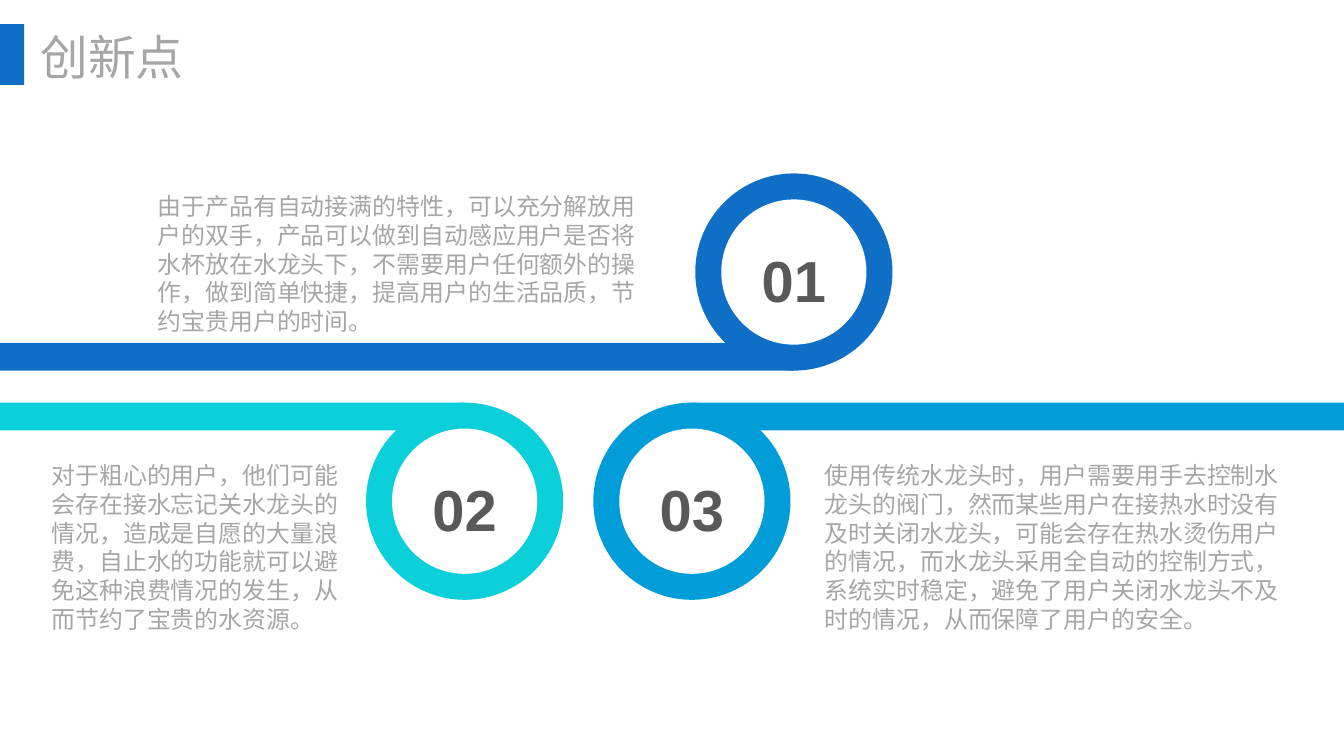
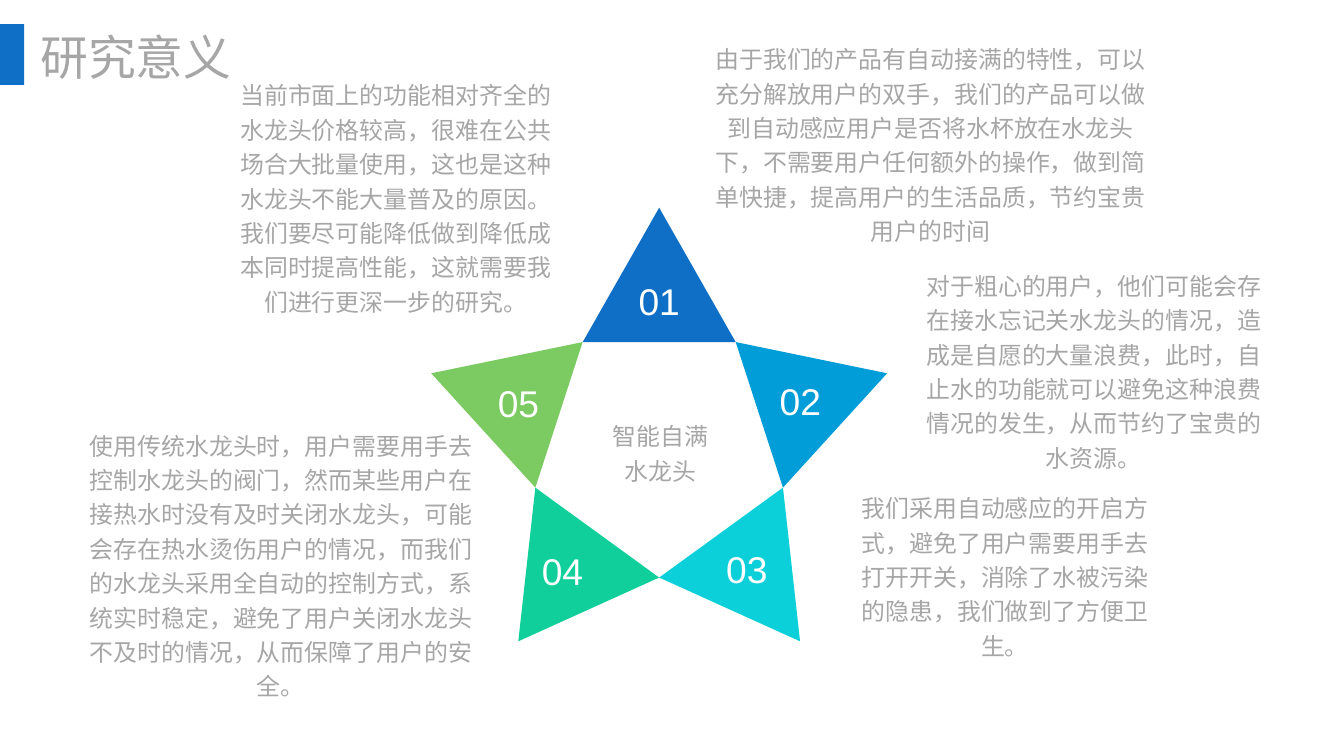
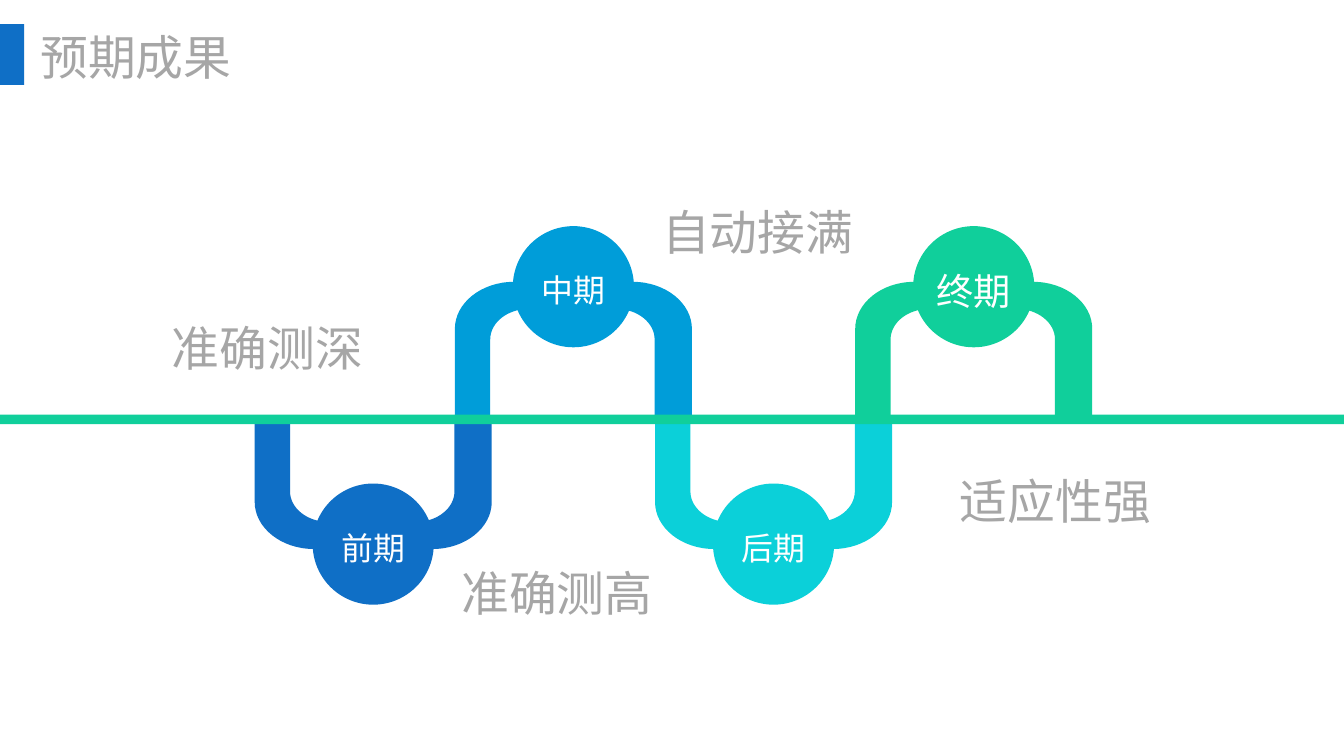
from math import cos, radians, sin

from lxml.etree import Element, SubElement
from pptx import Presentation
from pptx.dml.color import RGBColor
from pptx.enum.shapes import MSO_SHAPE
from pptx.enum.text import MSO_ANCHOR, MSO_AUTO_SIZE, PP_ALIGN
from pptx.oxml.ns import qn
from pptx.util import Cm, Pt

# Shared style, lengths in centimetres
PAGE_WIDTH, PAGE_HEIGHT = 35.72, 20.09
COLOURS = {
    "blue": "0F6FC6",
    "sky": "009DD9",
    "cyan": "0BD0D9",
    "green": "10CF9B",
    "lime": "7CCA62",
    "grey": "A6A6A6",
    "dark": "595959",
    "white": "FFFFFF",
}
LATIN, CHINESE = "Arial", "Noto Sans CJK SC"
TEXT_MARGINS = (0.28, 0.13)
NO_MARGINS = (0, 0)
TITLE_SIZE, TITLE_LINE = 36, Pt(43)
BODY_SIZE = 18


def rgb(colour):
    return RGBColor.from_string(COLOURS[colour])


def lengths(box):
    return [Cm(value) for value in box]


def write(frame, text, size, colour="grey", font=LATIN, line=1.2,
          align=PP_ALIGN.CENTER, anchor=MSO_ANCHOR.TOP, margins=NO_MARGINS,
          bold=False):
    """Put one formatted paragraph in a text frame."""
    frame.auto_size = MSO_AUTO_SIZE.NONE
    frame.word_wrap = True
    frame.vertical_anchor = anchor
    frame.margin_left = frame.margin_right = Cm(margins[0])
    frame.margin_top = frame.margin_bottom = Cm(margins[1])
    para = frame.paragraphs[0]
    para.text = text
    para.alignment = align
    para.line_spacing = line
    para.font.size = Pt(size)
    para.font.bold = bold
    para.font.color.rgb = rgb(colour)
    para.font.name = font
    settings = para._p.pPr
    settings.set("hangingPunct", "0")
    defaults = settings.find(qn("a:defRPr"))
    SubElement(defaults, qn("a:ea")).set("typeface", CHINESE)


def add_text(page, box, text, size, **style):
    write(page.shapes.add_textbox(*lengths(box)).text_frame, text, size, **style)


def paint(shape, colour):
    shape.shadow.inherit = False
    shape.fill.solid()
    shape.fill.fore_color.rgb = rgb(colour)
    shape.line.fill.background()
    return shape


def add_filled(page, kind, box, colour):
    return paint(page.shapes.add_shape(kind, *lengths(box)), colour)


def add_outline(page, start, steps, colour):
    """Draw steps of one point (a line) or three points (a curve)."""
    builder = page.shapes.build_freeform(*lengths(start))
    builder.add_line_segments([lengths(point) for step in steps for point in step],
                              close=True)
    shape = builder.convert_to_shape()
    outline = shape._element.find(".//" + qn("a:path"))
    lines = iter(outline.findall(qn("a:lnTo")))
    for step in steps:
        first, *others = [next(lines) for _ in step]
        if others:
            curve = Element(qn("a:cubicBezTo"))
            outline.replace(first, curve)
            curve.append(first[0])
            for other in others:
                curve.append(other[0])
                outline.remove(other)
    return paint(shape, colour)


def add_page(deck, title):
    """Add a page with the blue marker and its title."""
    page = deck.slides.add_slide(deck.slide_layouts[5])
    add_filled(page, MSO_SHAPE.RECTANGLE, (0, 0.64, 0.64, 1.62), "blue")
    holder = page.shapes.title
    holder.left, holder.top, holder.width, holder.height = lengths(
        (1.07, 0.74, 1.27 * len(title) + 0.2, 1.55))
    write(holder.text_frame, title, TITLE_SIZE, font=CHINESE, line=TITLE_LINE,
          align=PP_ALIGN.LEFT)
    return page


# Page 1: numbered rings on bands
def add_ring(page, box, number, colour, to_right, band_on_top):
    left, top, size = box
    band, rim = 0.74, 0.69
    middle = left + size / 2
    band_left, band_right = (middle, PAGE_WIDTH) if to_right else (0, middle)
    band_top = top if band_on_top else top + size - band
    add_filled(page, MSO_SHAPE.RECTANGLE,
               (band_left, band_top, band_right - band_left, band), colour)
    add_filled(page, MSO_SHAPE.OVAL, (left, top, size, size), colour)
    hole = size - 2 * rim
    centre = add_filled(page, MSO_SHAPE.OVAL,
                        (left + rim, top + rim, hole, hole), "white")
    write(centre.text_frame, number, 43.6, "dark", bold=True,
          anchor=MSO_ANCHOR.MIDDLE, margins=(0.25, 0.14))


def build_innovations(deck):
    page = add_page(deck, "创新点")
    ring = 5.24
    items = [
        ((18.48, 4.61, ring), "01", "blue", False, False, (3.91, 4.97, 13.77, 4.11),
         "由于产品有自动接满的特性，可以充分解放用户的双手，产品可以做到自动感应用户是否将水杯放在水龙头下，"
         "不需要用户任何额外的操作，做到简单快捷，提高用户的生活品质，节约宝贵用户的时间。"),
        ((9.73, 10.7, ring), "02", "cyan", False, True, (1.09, 12.12, 8.64, 4.9),
         "对于粗心的用户，他们可能会存在接水忘记关水龙头的情况，造成是自愿的大量浪费，"
         "自止水的功能就可以避免这种浪费情况的发生，从而节约了宝贵的水资源。"),
        ((15.77, 10.7, ring), "03", "sky", True, True, (21.64, 12.12, 13.08, 4.9),
         "使用传统水龙头时，用户需要用手去控制水龙头的阀门，然而某些用户在接热水时没有及时关闭水龙头，"
         "可能会存在热水烫伤用户的情况，而水龙头采用全自动的控制方式，系统实时稳定，"
         "避免了用户关闭水龙头不及时的情况，从而保障了用户的安全。"),
    ]
    for box, number, colour, to_right, band_on_top, text_box, text in items:
        add_ring(page, box, number, colour, to_right, band_on_top)
        add_text(page, text_box, text, BODY_SIZE, font=CHINESE, line=Pt(21.6),
                 align=PP_ALIGN.LEFT, margins=TEXT_MARGINS)


# Page 2: five-pointed star
def add_star(page, centre, inner, outer, points):
    centre_x, centre_y = centre

    def polar(radius, degrees):
        angle = radians(degrees)
        return centre_x + radius * cos(angle), centre_y + radius * sin(angle)

    label_width, label_height = 1.4, 1.3
    for index, (colour, shift_x, shift_y) in enumerate(points):
        tip = -90 + 72 * index
        add_outline(page, polar(inner, tip - 36),
                    [[polar(outer, tip)], [polar(inner, tip + 36)]], colour)
        add_text(page, (centre_x + shift_x - label_width / 2,
                        centre_y + shift_y - label_height / 2,
                        label_width, label_height),
                 f"{index + 1:02}", 28, colour="white")


def build_significance(deck):
    page = add_page(deck, "研究意义")
    # Colour of each point and place of its number from the star's centre
    points = [
        ("blue", 0, -4.08),
        ("sky", 3.75, -1.41),
        ("cyan", 2.33, 3.04),
        ("green", -2.57, 3.09),
        ("lime", -3.74, -1.38),
    ]
    add_star(page, (17.52, 11.89), 3.46, 6.37, points)
    texts = [
        ((18.85, 1.04, 11.76, 5.54),
         "由于我们的产品有自动接满的特性，可以充分解放用户的双手，我们的产品可以做到自动感应用户是否将水杯放在水龙头下，"
         "不需要用户任何额外的操作，做到简单快捷，提高用户的生活品质，节约宝贵用户的时间"),
        ((24.61, 7.06, 8.92, 5.54),
         "对于粗心的用户，他们可能会存在接水忘记关水龙头的情况，造成是自愿的大量浪费，此时，"
         "自止水的功能就可以避免这种浪费情况的发生，从而节约了宝贵的水资源。"),
        ((22.8, 12.97, 7.82, 4.62),
         "我们采用自动感应的开启方式，避免了用户需要用手去打开开关，消除了水被污染的隐患，我们做到了方便卫生。"),
        ((2.31, 11.31, 10.31, 7.39),
         "使用传统水龙头时，用户需要用手去控制水龙头的阀门，然而某些用户在接热水时没有及时关闭水龙头，"
         "可能会存在热水烫伤用户的情况，而我们的水龙头采用全自动的控制方式，系统实时稳定，"
         "避免了用户关闭水龙头不及时的情况，从而保障了用户的安全。"),
        ((6.17, 2, 8.69, 6.45),
         "当前市面上的功能相对齐全的水龙头价格较高，很难在公共场合大批量使用，这也是这种水龙头不能大量普及的原因。"
         "我们要尽可能降低做到降低成本同时提高性能，这就需要我们进行更深一步的研究。"),
        ((16.1, 11.06, 2.9, 1.85), "智能自满水龙头"),
    ]
    for box, text in texts:
        add_text(page, box, text, BODY_SIZE, line=Pt(25.9))


# Page 3: pipe of stages above and below a line
def quarter(start, corner, end):
    """Curve step for a quarter ellipse from start to end around a corner."""
    pull = 0.55
    handles = [tuple(a + pull * (b - a) for a, b in zip(point, corner))
               for point in (start, end)]
    return [*handles, end]


def add_stage(page, box, label, size, colour, upward):
    left, base, width, depth = box
    left_leg, right_leg, floor = 0.94, 0.99, 0.72
    way = -1 if upward else 1

    def trace(near, far, bottom, radius_x, radius_y):
        """Steps down one side, along the bottom and up the other side."""
        turn = radius_x if far > near else -radius_x
        low = bottom - radius_y
        return [[(near, 0)], [(near, low)],
                quarter((near, low), (near, bottom), (near + turn, bottom)),
                [(far - turn, bottom)],
                quarter((far - turn, bottom), (far, bottom), (far, low)),
                [(far, 0)]]

    steps = (trace(0, width, depth, 1.57, 1.25)
             + trace(width - right_leg, left_leg, depth - floor, 1.02, 0.81))
    placed = [[(left + x, base + way * y) for x, y in step] for step in steps]
    add_outline(page, placed[0][0], placed[1:], colour)
    knob, reach = 3.22, 3.42
    circle = add_filled(page, MSO_SHAPE.OVAL,
                        (left + (width - knob) / 2, base + way * reach - knob / 2,
                         knob, knob), colour)
    write(circle.text_frame, label, size, "white", line=Pt(size * 1.4),
          anchor=MSO_ANCHOR.MIDDLE)


def build_results(deck):
    page = add_page(deck, "预期成果")
    stages = [("前期", 24, "blue"), ("中期", 24, "sky"),
              ("后期", 24, "cyan"), ("终期", 28, "green")]
    for index, (label, size, colour) in enumerate(stages):
        add_stage(page, (6.77 + 5.32 * index, 11.04, 6.3, 3.55),
                  label, size, colour, upward=index % 2 == 1)
    add_filled(page, MSO_SHAPE.RECTANGLE, (0, 11.02, PAGE_WIDTH, 0.25), "green")
    captions = [("准确测深", 4.32, 8.36), ("准确测高", 12.01, 14.86),
                ("自动接满", 17.35, 5.26), ("适应性强", 25.26, 12.4)]
    for caption, left, top in captions:
        add_text(page, (left, top, 6.48, 1.8), caption, TITLE_SIZE, font=CHINESE,
                 line=TITLE_LINE, align=PP_ALIGN.LEFT, margins=(0.25, 0.13))


def main():
    deck = Presentation()
    deck.slide_width, deck.slide_height = lengths((PAGE_WIDTH, PAGE_HEIGHT))
    build_innovations(deck)
    build_significance(deck)
    build_results(deck)
    deck.save("out.pptx")


if __name__ == "__main__":
    main()
